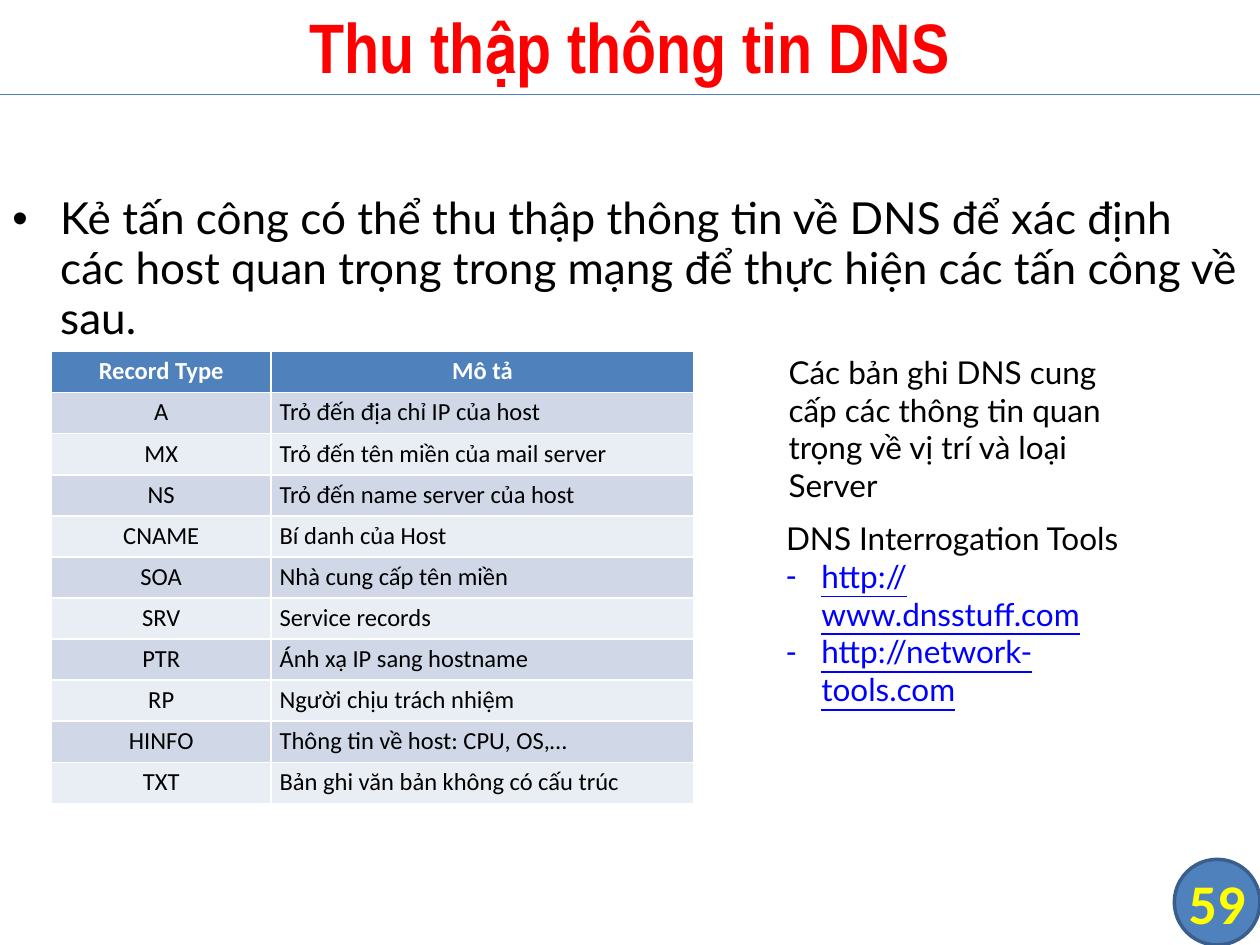
from typing import NamedTuple

from lxml.etree import SubElement
from pptx import Presentation
from pptx.dml.color import RGBColor
from pptx.enum.shapes import MSO_CONNECTOR, MSO_SHAPE
from pptx.enum.text import MSO_ANCHOR, MSO_AUTO_SIZE, PP_ALIGN
from pptx.oxml.ns import qn
from pptx.util import Emu, Inches, Pt

BLACK = RGBColor(0x00, 0x00, 0x00)
WHITE = RGBColor(0xFF, 0xFF, 0xFF)
RED = RGBColor(0xFF, 0x00, 0x00)
YELLOW = RGBColor(0xFF, 0xFF, 0x00)
LINK = RGBColor(0x00, 0x00, 0xFF)
BLUE = RGBColor(0x4F, 0x81, 0xBD)
RIM = RGBColor(0x3A, 0x5F, 0x8C)
RULE = RGBColor(0x4B, 0x7E, 0xBC)
DARK = RGBColor(0xD0, 0xD8, 0xE8)
PALE = RGBColor(0xE9, 0xED, 0xF4)

# The slide is a grid of 100 columns by 75 rows of square cells.
COLS, ROWS = 100, 75
CELL = Inches(0.1)


class Area(NamedTuple):
    col: float
    row: float
    wide: float
    high: float


class Style(NamedTuple):
    face: str
    size: float
    color: RGBColor = BLACK
    bold: bool = False
    under: bool = False


class Item(NamedTuple):
    text: str
    style: Style
    mark: str = ""
    indent: float = 0


class Note(NamedTuple):
    area: Area
    items: list[Item]
    spacing: float | None = None


HEAD = Style("Arial Narrow", 40, RED, bold=True)
LEAD = Style("Lato", 25.2)
SIDE = Style("Lato", 18)
URL = Style("Lato", 18, LINK, under=True)
BADGE = Style("Calibri", 32, YELLOW, bold=True)
TOP = Style("Calibri", 14, WHITE, bold=True)
BODY = Style("Calibri", 14)

NOTES = [
    Note(Area(0, 15, 100, 13.1), [
        Item("Kẻ tấn công có thể thu thập thông tin về DNS để xác định các host "
             "quan trọng trong mạng để thực hiện các tấn công về sau.", LEAD, "•", 3.8),
    ], 0.94),
    Note(Area(61.6, 27.5, 28.8, 13.1), [
        Item("Các bản ghi DNS cung cấp các thông tin quan trọng về vị trí "
             "và loại Server", SIDE),
    ]),
    Note(Area(61.4, 40.7, 28.8, 16.2), [
        Item("DNS Interrogation Tools", SIDE),
        Item("http://www.dnsstuff.com", URL, "-", 2.8),
        Item("http://network-tools.com", URL, "-", 2.8),
    ]),
]

RECORDS = [
    ("Record Type", "Mô tả"),
    ("A", "Trỏ đến địa chỉ IP của host"),
    ("MX", "Trỏ đến tên miền của mail server"),
    ("NS", "Trỏ đến name server của host"),
    ("CNAME", "Bí danh của Host"),
    ("SOA", "Nhà cung cấp tên miền"),
    ("SRV", "Service records"),
    ("PTR", "Ánh xạ IP sang hostname"),
    ("RP", "Người chịu trách nhiệm"),
    ("HINFO", "Thông tin về host: CPU, OS,…"),
    ("TXT", "Bản ghi văn bản không có cấu trúc"),
]
GRID = Area(4.1, 27.9, 51, 35.9)
WIDTHS = (17.4, 33.6)


def cells(count: float) -> Emu:
    return Emu(round(count * CELL))


def place(area: Area) -> list[Emu]:
    return [cells(part) for part in area]


def write(para, text: str, style: Style, align=PP_ALIGN.LEFT) -> None:
    para.text = text
    para.alignment = align
    font = para.font
    font.name, font.size = style.face, Pt(style.size)
    font.bold, font.underline = style.bold, style.under
    font.color.rgb = style.color


def mark(para, char: str, indent: float) -> None:
    """Give the paragraph a bullet with a hanging indent."""
    props = para._p.get_or_add_pPr()
    props.set("marL", str(cells(indent)))
    props.set("indent", str(-cells(indent)))
    SubElement(props, qn("a:buFont"), typeface="Arial")
    SubElement(props, qn("a:buChar"), char=char)


def add_title(slide, text: str) -> None:
    title = slide.shapes.title
    title.left, title.top, title.width, title.height = place(Area(0, -0.3, COLS, 7.8))
    frame = title.text_frame
    frame.auto_size = MSO_AUTO_SIZE.NONE
    frame.vertical_anchor = MSO_ANCHOR.MIDDLE
    write(frame.paragraphs[0], text, HEAD, PP_ALIGN.CENTER)


def add_rule(slide, row: float) -> None:
    line = slide.shapes.add_connector(
        MSO_CONNECTOR.STRAIGHT, 0, cells(row), cells(COLS), cells(row))
    line.line.color.rgb = RULE
    line.line.width = Pt(0.75)
    SubElement(line._element.spPr, qn("a:effectLst"))


def add_badge(slide, text: str) -> None:
    side = 6.8
    area = Area(COLS - side, ROWS - side, side, side)
    disc = slide.shapes.add_shape(MSO_SHAPE.FLOWCHART_CONNECTOR, *place(area))
    disc.shadow.inherit = False
    disc.fill.solid()
    disc.fill.fore_color.rgb = BLUE
    disc.line.color.rgb = RIM
    disc.line.width = Pt(2)
    frame = disc.text_frame
    frame.word_wrap = False
    frame.vertical_anchor = MSO_ANCHOR.MIDDLE
    frame.margin_left = frame.margin_right = frame.margin_top = frame.margin_bottom = 0
    write(frame.paragraphs[0], text, BADGE, PP_ALIGN.CENTER)


def add_note(slide, note: Note) -> None:
    frame = slide.shapes.add_textbox(*place(note.area)).text_frame
    frame.word_wrap = True
    for i, item in enumerate(note.items):
        para = frame.add_paragraph() if i else frame.paragraphs[0]
        if item.mark:
            mark(para, item.mark, item.indent)
        write(para, item.text, item.style)
        if note.spacing:
            para.line_spacing = note.spacing


def add_records(slide) -> None:
    table = slide.shapes.add_table(len(RECORDS), len(WIDTHS), *place(GRID)).table
    for column, width in zip(table.columns, WIDTHS):
        column.width = cells(width)
    for r, record in enumerate(RECORDS):
        table.rows[r].height = cells(GRID.high / len(RECORDS))
        fill = BLUE if r == 0 else DARK if r % 2 else PALE
        for c, text in enumerate(record):
            cell = table.cell(r, c)
            cell.fill.solid()
            cell.fill.fore_color.rgb = fill
            cell.margin_left = cell.margin_right = cells(0.7)
            cell.margin_top = cell.margin_bottom = cells(0.4)
            align = PP_ALIGN.LEFT if r and c else PP_ALIGN.CENTER
            write(cell.text_frame.paragraphs[0], text, BODY if r else TOP, align)


def main() -> None:
    deck = Presentation()
    deck.slide_width, deck.slide_height = cells(COLS), cells(ROWS)
    slide = deck.slides.add_slide(deck.slide_layouts[5])
    add_badge(slide, "59")
    add_rule(slide, 7.5)
    add_title(slide, "Thu thập thông tin DNS")
    for note in NOTES:
        add_note(slide, note)
    add_records(slide)
    deck.save("out.pptx")


if __name__ == "__main__":
    main()
